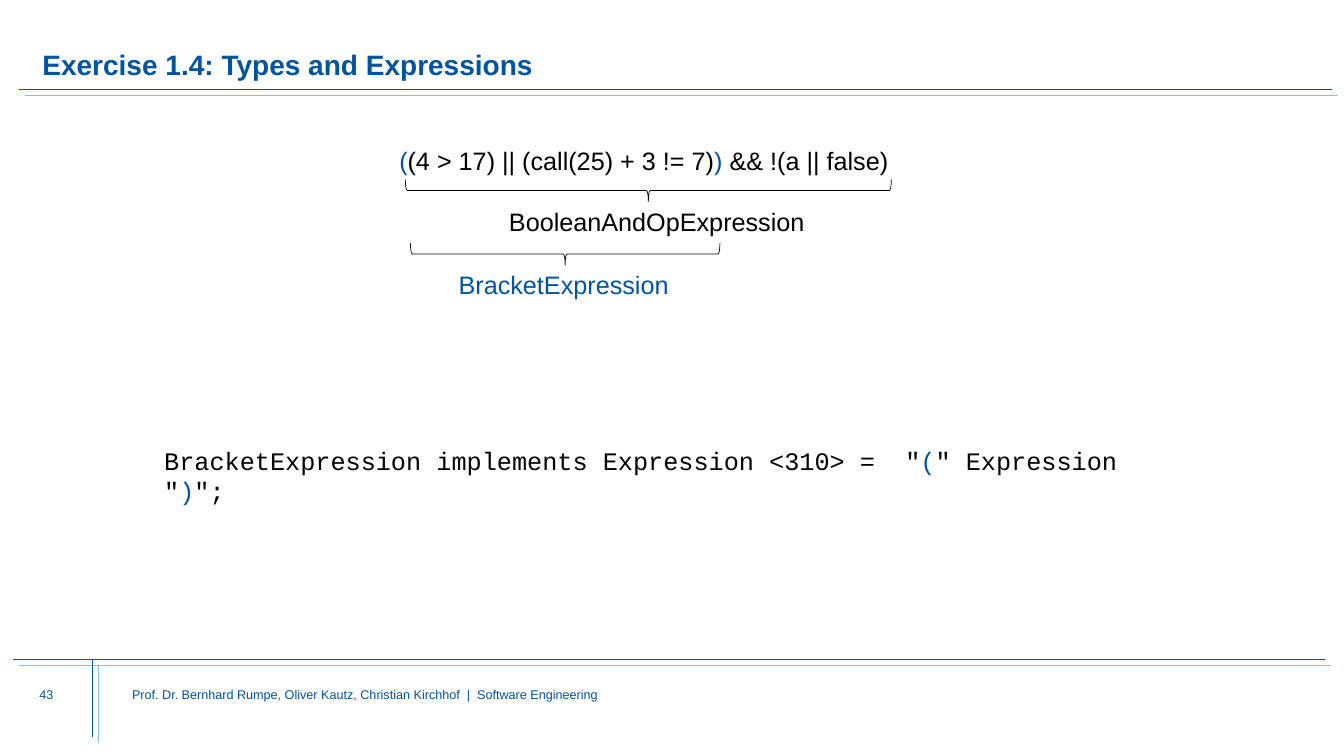
from lxml import etree
from pptx import Presentation
from pptx.dml.color import RGBColor
from pptx.enum.shapes import MSO_CONNECTOR, MSO_SHAPE
from pptx.enum.text import MSO_ANCHOR, MSO_AUTO_SIZE, PP_ALIGN
from pptx.oxml.ns import qn
from pptx.util import Inches, Pt

BLUE = RGBColor(0x00, 0x54, 0x9F)
LIGHT_BLUE = RGBColor(0x8E, 0xBA, 0xE5)
BLACK = RGBColor(0x00, 0x00, 0x00)
STRAIGHT = MSO_CONNECTOR.STRAIGHT
RIGHT_BRACE = MSO_SHAPE.RIGHT_BRACE
TOP, BOTTOM = MSO_ANCHOR.TOP, MSO_ANCHOR.BOTTOM
LEFT = PP_ALIGN.LEFT
NO_AUTOFIT = MSO_AUTO_SIZE.NONE
RULE_OFFSET = 0.06


def place(shape, left, top, width, height):
    """Move and size a shape, in inches."""
    shape.left, shape.top = Inches(left), Inches(top)
    shape.width, shape.height = Inches(width), Inches(height)


def write(shape, spans, size=18, font="Arial", bold=False, anchor=TOP,
          inset=0, wrap=True, spacing=1.0):
    """Fill a shape with one paragraph of (text, colour) spans."""
    frame = shape.text_frame
    frame.auto_size = NO_AUTOFIT
    frame.word_wrap = wrap
    frame.vertical_anchor = anchor
    frame.margin_left = frame.margin_right = Inches(inset)
    frame.margin_top = frame.margin_bottom = Inches(inset / 2)
    para = frame.paragraphs[0]
    para.alignment = LEFT
    para.line_spacing = spacing
    para.space_before = Pt(0)
    for text, colour in spans:
        span = para.add_run()
        span.text = text
        span.font.name = font
        span.font.size = Pt(size)
        span.font.bold = bold
        span.font.color.rgb = colour
    return para


def add_text(page, left, top, width, height, spans, **style):
    """Add a text box with formatted spans."""
    box = page.shapes.add_textbox(0, 0, 0, 0)
    place(box, left, top, width, height)
    write(box, spans, **style)


def add_line(page, left, top, right, bottom, colour):
    """Add a thin straight line without shadow."""
    line = page.shapes.add_connector(STRAIGHT, Inches(left), Inches(top),
                                     Inches(right), Inches(bottom))
    line.line.color.rgb = colour
    line.line.width = Pt(0.5)
    etree.SubElement(line._element.spPr, qn("a:effectLst"))


def add_double_rule(page, left, top, right, bottom):
    """Add a blue line with a lighter one shifted down and right."""
    shifted = [end + RULE_OFFSET for end in (left, top, right, bottom)]
    add_line(page, *shifted, LIGHT_BLUE)
    add_line(page, left, top, right, bottom, BLUE)


def add_brace(page, left, top, width, height=0.22):
    """Add a brace that opens upwards under an expression."""
    brace = page.shapes.add_shape(RIGHT_BRACE, 0, 0, 0, 0)
    place(brace, left + (width - height) / 2, top - (width - height) / 2,
          height, width)
    brace.rotation = 90
    brace.shadow.inherit = False
    brace.fill.background()
    brace.line.color.rgb = BLACK
    brace.line.width = Pt(0.5)


def fill_title(page, text):
    """Place and fill the title placeholder."""
    title = page.shapes.title
    place(title, 0.42, 0.22, 12.56, 0.59)
    write(title, [(text, BLUE)], size=20, bold=True, anchor=BOTTOM, spacing=0.9)


def fill_expression(page, spans):
    """Place and fill the body placeholder, indented and without bullet."""
    body = page.placeholders[1]
    place(body, 1.36, 1.44, 11.9, 4.8)
    properties = write(body, spans)._p.get_or_add_pPr()
    properties.set("marL", str(Inches(2.6)))
    properties.set("indent", "0")
    etree.SubElement(properties, qn("a:buNone"))


def main():
    """Build the slide and save it."""
    deck = Presentation()
    deck.slide_width, deck.slide_height = Inches(13.33), Inches(7.5)
    page = deck.slides.add_slide(deck.slide_layouts[1])

    add_double_rule(page, 0.19, 0.89, 13.21, 0.89)
    add_double_rule(page, 0.13, 6.54, 13.14, 6.54)
    add_double_rule(page, 0.92, 6.54, 0.92, 7.31)
    add_text(page, 1.31, 6.81, 7.66, 0.69, [(
        "Prof. Dr. Bernhard Rumpe, Oliver Kautz, Christian Kirchhof"
        "  |  Software Engineering", BLUE)], size=9)
    add_text(page, 0.39, 6.81, 0.8, 0.43, [("43", BLUE)], size=9)

    fill_title(page, "Exercise 1.4: Types and Expressions")
    fill_expression(page, [
        ("(", BLUE), ("(4 > 17) || (call(25) + 3 != 7)", BLACK),
        (") ", BLUE), ("&& !(a || false)", BLACK)])

    add_brace(page, 4.02, 1.78, 4.82)
    add_text(page, 4.95, 2, 3.16, 0.4, [("BooleanAndOpExpression", BLACK)],
             inset=0.1, wrap=False)
    add_brace(page, 4.07, 2.41, 3.07)
    add_text(page, 4.45, 2.62, 2.31, 0.4, [("BracketExpression", BLUE)],
             inset=0.1, wrap=False)
    add_text(page, 1.53, 4.37, 10.34, 0.4, [
        ('BracketExpression implements Expression <310> =  "', BLACK),
        ("(", BLUE), ('" Expression "', BLACK), (")", BLUE), ('";', BLACK)],
        font="Courier New", inset=0.1)

    deck.save("out.pptx")


main()
